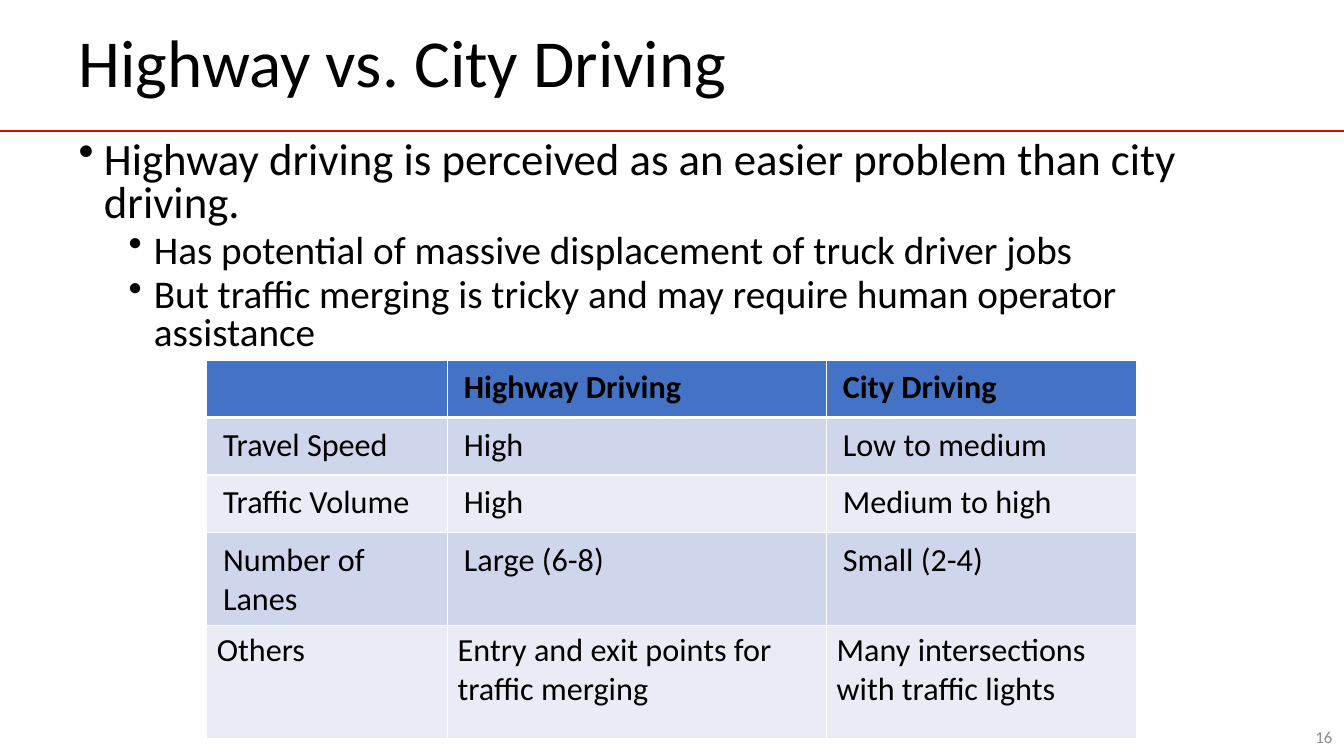
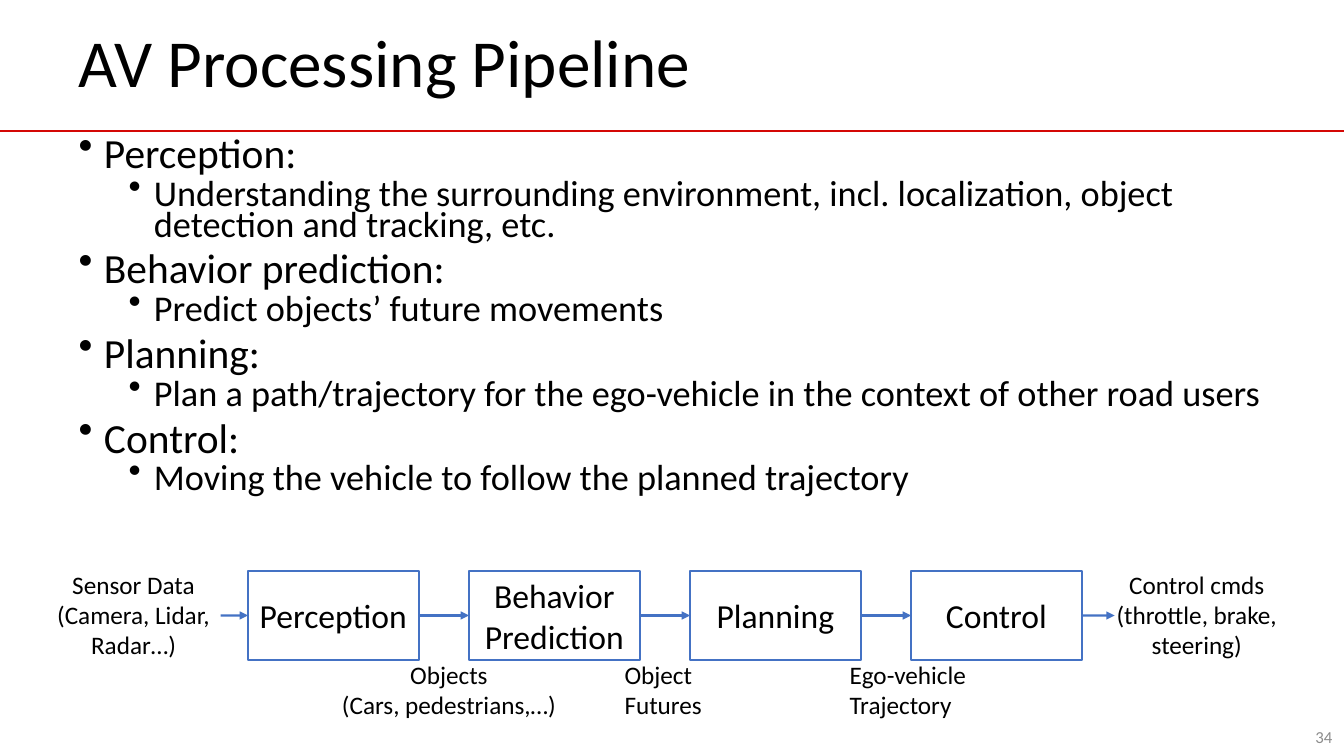
from itertools import pairwise

from lxml.etree import SubElement
from pptx import Presentation
from pptx.dml.color import RGBColor
from pptx.enum.shapes import MSO_CONNECTOR as Connector, MSO_SHAPE as Shape
from pptx.enum.text import MSO_ANCHOR as Anchor, PP_ALIGN as Align
from pptx.oxml.ns import qn
from pptx.util import Cm, Pt

WHITE = RGBColor(0xFF, 0xFF, 0xFF)
BLACK = RGBColor(0x00, 0x00, 0x00)
RED = RGBColor(0xD4, 0x08, 0x05)
GRAY = RGBColor(0x8C, 0x8C, 0x8C)
BLUE = RGBColor(0x44, 0x72, 0xC4)
BAND_DARK = RGBColor(0xCF, 0xD5, 0xEA)
BAND_LIGHT = RGBColor(0xE9, 0xEB, 0xF5)

FONT = "Calibri"
SLIDE_WIDTH, SLIDE_HEIGHT = 33.87, 19.05
LEFT, CONTENT_WIDTH = 1.73, 30.4
BULLET_LEVELS = [
    {"size": 32, "before": 10, "margin": 0.64},
    {"size": 28, "before": 5, "margin": 1.9},
]
HANGING = 0.64

DRIVING_POINTS = [
    (0, "Highway driving is perceived as an easier problem than city driving."),
    (1, "Has potential of massive displacement of truck driver jobs"),
    (1, "But traffic merging is tricky and may require human operator assistance"),
]
DRIVING_ROWS = [
    ["", "Highway Driving", "City Driving"],
    ["Travel Speed", "High", "Low to medium"],
    ["Traffic Volume", "High", "Medium to high"],
    ["Number of Lanes", "Large (6-8)", "Small (2-4)"],
    ["Others", "Entry and exit points for traffic merging",
     "Many intersections with traffic lights"],
]
COLUMN_WIDTHS = [6.07, 9.55, 7.82]
ROW_HEIGHTS = [1.45, 1.45, 1.45, 2.24, 2.84]

PIPELINE_POINTS = [
    (0, "Perception:"),
    (1, "Understanding the surrounding environment, incl. localization, "
        "object detection and tracking, etc."),
    (0, "Behavior prediction:"),
    (1, "Predict objects’ future movements"),
    (0, "Planning:"),
    (1, "Plan a path/trajectory for the ego-vehicle in the context of other road users"),
    (0, "Control:"),
    (1, "Moving the vehicle to follow the planned trajectory"),
]
STAGES = ["Perception", "Behavior Prediction", "Planning", "Control"]
STAGE_LEFT, STAGE_PITCH, STAGE_TOP = 6.25, 5.57, 14.38
STAGE_WIDTH, STAGE_HEIGHT = 4.3, 2.26
FLOW_Y = STAGE_TOP + STAGE_HEIGHT / 2
LABEL_TOP, LABEL_HEIGHT = 16.48, 1.8
END_TOP, END_HEIGHT = 14.22, 2.57
# Left, width, alignment, wrap, lines
DATA_LABELS = [
    (8.33, 5.97, Align.CENTER, ["Objects", "(Cars, pedestrians,…)"]),
    (15.49, 2.49, Align.LEFT, ["Object", "Futures"]),
    (21.16, 3.48, Align.LEFT, ["Ego-vehicle", "Trajectory"]),
]
END_LABELS = [
    (1.17, 4.39, ["Sensor Data", "(Camera, Lidar, Radar…)"]),
    (27.86, 4.6, ["Control cmds", "(throttle, brake, steering)"]),
]


def set_all(target, values):
    for attribute, value in values.items():
        setattr(target, attribute, value)


def style_font(font, size, color=BLACK, bold=False):
    set_all(font, {"name": FONT, "size": Pt(size), "bold": bold})
    font.color.rgb = color


def write_lines(frame, lines, size, color=BLACK, **paragraph_format):
    for index, line in enumerate(lines):
        paragraph = frame.paragraphs[0] if index == 0 else frame.add_paragraph()
        paragraph.text = line
        set_all(paragraph, paragraph_format)
        style_font(paragraph.font, size, color)


def add_text(slide, left, top, width, height, lines, size, color=BLACK,
             anchor=Anchor.TOP, wrap=True, **paragraph_format):
    box = slide.shapes.add_textbox(Cm(left), Cm(top), Cm(width), Cm(height))
    set_all(box.text_frame, {"word_wrap": wrap, "vertical_anchor": anchor})
    write_lines(box.text_frame, lines, size, color, **paragraph_format)


def add_line(slide, start_x, end_x, y, color, width, arrow=False):
    line = slide.shapes.add_connector(
        Connector.STRAIGHT, Cm(start_x), Cm(y), Cm(end_x), Cm(y))
    line.line.color.rgb = color
    line.line.width = Pt(width)
    if arrow:
        SubElement(line.line._get_or_add_ln(), qn("a:tailEnd"), type="triangle")
    SubElement(line._element.spPr, qn("a:effectLst"))
    return line


def add_titled_slide(deck, title, number):
    slide = deck.slides.add_slide(deck.slide_layouts[6])
    add_line(slide, 0, SLIDE_WIDTH, 3.3, RED, 1)
    add_text(slide, LEFT, 0.18, CONTENT_WIDTH, 2.97, [title], 48,
             anchor=Anchor.MIDDLE, line_spacing=0.9)
    add_text(slide, 26.21, 18.06, 7.62, 1.02, [str(number)], 12, GRAY,
             anchor=Anchor.MIDDLE, alignment=Align.RIGHT)
    return slide


def add_bullets(slide, points, height, line_spacing, scale=1):
    body = slide.shapes.add_textbox(Cm(LEFT), Cm(3.43), Cm(CONTENT_WIDTH), Cm(height))
    frame = body.text_frame
    frame.word_wrap = True
    for index, (level, text) in enumerate(points):
        style = BULLET_LEVELS[level]
        paragraph = frame.paragraphs[0] if index == 0 else frame.add_paragraph()
        paragraph.text = text
        properties = paragraph._p.get_or_add_pPr()
        properties.set("marL", str(Cm(style["margin"])))
        properties.set("indent", str(-Cm(HANGING)))
        SubElement(properties, qn("a:buChar"), char="•")
        before = round(style["before"] * scale, 1) if index else 0
        set_all(paragraph, {"level": level, "line_spacing": line_spacing,
                            "space_before": Pt(before)})
        style_font(paragraph.font, round(style["size"] * scale, 1))


def add_borders(cell, widths):
    properties = cell._tc.get_or_add_tcPr()
    for side, width in widths.items():
        border = SubElement(properties, qn(f"a:ln{side}"), w=str(Pt(width)))
        fill = SubElement(border, qn("a:solidFill"))
        SubElement(fill, qn("a:srgbClr"), val=str(WHITE))


def format_cell(cell, text, row):
    header = row == 0
    add_borders(cell, {"L": 1, "R": 1, "T": 3 if row == 1 else 1, "B": 3 if header else 1})
    cell.fill.solid()
    cell.fill.fore_color.rgb = BLUE if header else BAND_DARK if row % 2 else BAND_LIGHT
    if row < len(DRIVING_ROWS) - 1:
        set_all(cell, {"margin_left": Cm(0.41), "margin_right": Cm(0.41),
                       "margin_top": Cm(0.2), "margin_bottom": Cm(0.2)})
    cell.text = text
    style_font(cell.text_frame.paragraphs[0].font, 23, bold=header)


def add_comparison(slide):
    table = slide.shapes.add_table(
        len(DRIVING_ROWS), len(COLUMN_WIDTHS), Cm(5.21), Cm(9.07),
        Cm(sum(COLUMN_WIDTHS)), Cm(sum(ROW_HEIGHTS))).table
    for column, width in zip(table.columns, COLUMN_WIDTHS):
        column.width = Cm(width)
    for row, (texts, height) in enumerate(zip(DRIVING_ROWS, ROW_HEIGHTS)):
        table.rows[row].height = Cm(height)
        for column, text in enumerate(texts):
            format_cell(table.cell(row, column), text, row)


def add_stage(slide, left, name):
    stage = slide.shapes.add_shape(Shape.RECTANGLE, Cm(left), Cm(STAGE_TOP),
                                   Cm(STAGE_WIDTH), Cm(STAGE_HEIGHT))
    stage.shadow.inherit = False
    stage.fill.solid()
    stage.fill.fore_color.rgb = WHITE
    stage.line.color.rgb = BLUE
    stage.line.width = Pt(1.5)
    set_all(stage.text_frame, {"word_wrap": True, "vertical_anchor": Anchor.MIDDLE})
    write_lines(stage.text_frame, [name], 24, alignment=Align.CENTER)
    return stage


def add_pipeline(slide):
    lefts = [STAGE_LEFT + STAGE_PITCH * index for index in range(len(STAGES))]
    stages = [add_stage(slide, left, name) for left, name in zip(lefts, STAGES)]

    outlets = [left + STAGE_WIDTH for left in lefts]
    starts, ends = [5.56, *outlets], [*lefts, 28.09]
    arrows = [add_line(slide, start, end, FLOW_Y, BLUE, 1.5, arrow=True)
              for start, end in zip(starts, ends)]
    for arrow, (source, target) in zip(arrows[1:], pairwise(stages)):
        arrow.begin_connect(source, 3)
        arrow.end_connect(target, 1)
    arrows[0].end_connect(stages[0], 1)
    arrows[-1].begin_connect(stages[-1], 3)

    for left, width, alignment, lines in DATA_LABELS:
        add_text(slide, left, LABEL_TOP, width, LABEL_HEIGHT, lines, 18,
                 wrap=False, alignment=alignment)
    for left, width, lines in END_LABELS:
        add_text(slide, left, END_TOP, width, END_HEIGHT, lines, 18,
                 alignment=Align.CENTER)


def main():
    deck = Presentation()
    set_all(deck, {"slide_width": Cm(SLIDE_WIDTH), "slide_height": Cm(SLIDE_HEIGHT)})

    driving = add_titled_slide(deck, "Highway vs. City Driving", 16)
    add_bullets(driving, DRIVING_POINTS, 5.89, line_spacing=0.8)
    add_comparison(driving)

    processing = add_titled_slide(deck, "AV Processing Pipeline", 34)
    add_bullets(processing, PIPELINE_POINTS, 10.64, line_spacing=0.7, scale=0.925)
    add_pipeline(processing)

    deck.save("out.pptx")


if __name__ == "__main__":
    main()
